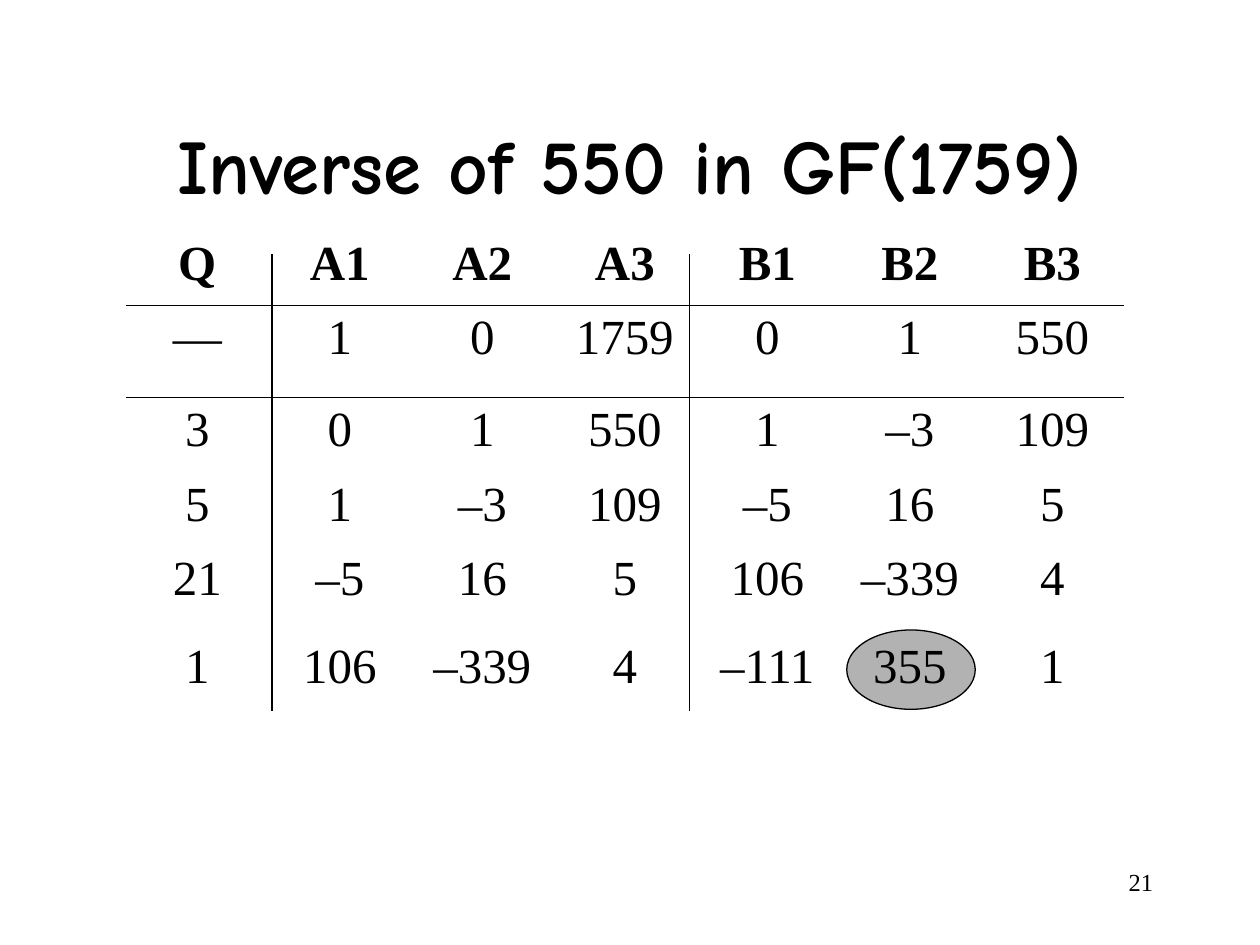
from lxml.etree import SubElement
from pptx import Presentation
from pptx.dml.color import RGBColor
from pptx.enum.shapes import MSO_CONNECTOR as Link, MSO_SHAPE as Shape
from pptx.enum.text import MSO_ANCHOR as Anchor, PP_ALIGN as Align
from pptx.oxml import parse_xml
from pptx.oxml.ns import nsdecls, qn
from pptx.util import Inches, Pt

BLACK = RGBColor(0, 0, 0)
GRAY = RGBColor(0xB2, 0xB2, 0xB2)
SERIF, COMIC = "Times New Roman", "Comic Neue"
PLAIN_STYLE = "{2D5ABB26-0587-4C30-8999-92F81FD0307C}"

TITLE = "Inverse of 550 in GF(1759)"
NUMBER = "21"
STEPS = [
    ("Q", "A1", "A2", "A3", "B1", "B2", "B3"),
    ("—", "1", "0", "1759", "0", "1", "550"),
    ("3", "0", "1", "550", "1", "–3", "109"),
    ("5", "1", "–3", "109", "–5", "16", "5"),
    ("21", "–5", "16", "5", "106", "–339", "4"),
    ("1", "106", "–339", "4", "–111", "355", "1"),
]
HEIGHTS = [0.59, 0.73, 0.59, 0.59, 0.7, 1.04]
LEFT, TOP, WIDTH = 1, 1.83, 7.92
RULES_X, RULE_TOP, RULE_END = (2.16, 5.47), 2.02, 5.64


def write(frame, text, size, align, font=SERIF, bold=False):
    para = frame.paragraphs[0]
    para.alignment = align
    run = para.add_run()
    run.text = text
    run.font.size = Pt(size)
    run.font.name = font
    run.font.bold = bold
    run.font.color.rgb = BLACK
    return para


def add_text(slide, box, text, size, align, anchor=Anchor.TOP, **look):
    frame = slide.shapes.add_textbox(*map(Inches, box)).text_frame
    frame.word_wrap = True
    frame.vertical_anchor = anchor
    write(frame, text, size, align, **look)


def add_border(cell, side):
    cell._tc.get_or_add_tcPr().insert(0, parse_xml(
        f'<a:{side} {nsdecls("a")} w="{Pt(0.45)}"><a:solidFill>'
        f'<a:srgbClr val="{BLACK}"/></a:solidFill></a:{side}>'))


def add_steps(slide):
    frame = slide.shapes.add_table(
        len(STEPS), len(STEPS[0]), Inches(LEFT), Inches(TOP),
        Inches(WIDTH), Inches(sum(HEIGHTS)))
    table = frame.table
    table.first_row = table.horz_banding = False
    table._tbl.tblPr.find(qn("a:tableStyleId")).text = PLAIN_STYLE
    for r, (step, height) in enumerate(zip(STEPS, HEIGHTS)):
        table.rows[r].height = Inches(height)
        for c, value in enumerate(step):
            cell = table.cell(r, c)
            cell.fill.background()
            para = write(cell.text_frame, value, 28, Align.CENTER, bold=r == 0)
            para.space_after = Pt(3)
            if r < 2:
                add_border(cell, ("lnB", "lnT")[r])


def add_rule(slide, x):
    rule = slide.shapes.add_connector(
        Link.STRAIGHT, *map(Inches, (x, RULE_TOP, x, RULE_END)))
    rule.line.color.rgb = BLACK
    rule.line.width = Pt(0.75)
    SubElement(rule._element.spPr, qn("a:effectLst"))


def add_mark(slide):
    """Circle the inverse, behind the table."""
    mark = slide.shapes.add_shape(
        Shape.OVAL, *map(Inches, (6.72, 5, 1.02, 0.63)))
    mark.shadow.inherit = False
    mark.fill.solid()
    mark.fill.fore_color.rgb = GRAY
    mark.line.color.rgb = BLACK
    mark.line.width = Pt(0.75)


def main():
    deck = Presentation()
    deck.slide_width, deck.slide_height = Inches(10), Inches(7.5)
    slide = deck.slides.add_slide(deck.slide_layouts[6])
    add_mark(slide)
    add_text(slide, (7.17, 6.83, 2.08, 0.5), NUMBER, 14, Align.RIGHT)
    add_text(slide, (0.75, 0.67, 8.5, 1.25), TITLE, 44, Align.CENTER,
             Anchor.MIDDLE, font=COMIC, bold=True)
    add_steps(slide)
    for x in RULES_X:
        add_rule(slide, x)
    deck.save("out.pptx")


if __name__ == "__main__":
    main()
